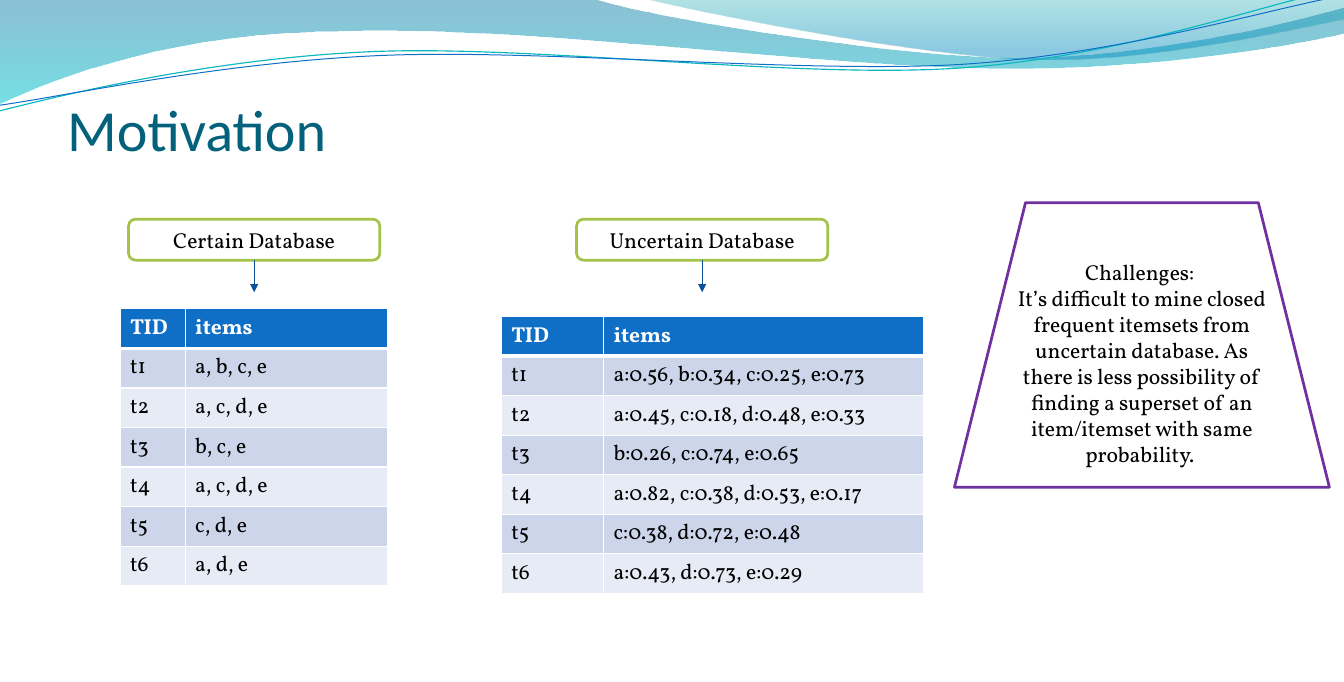
from math import cos, radians, sin

from lxml import etree
from pptx import Presentation
from pptx.dml.color import RGBColor
from pptx.enum.shapes import MSO_CONNECTOR as Link, MSO_SHAPE as Preset
from pptx.enum.text import MSO_ANCHOR as Anchor, PP_ALIGN as Align
from pptx.oxml import parse_xml
from pptx.oxml.ns import nsdecls, qn
from pptx.util import Inches, Pt

COLORS = {
    "title": "04617B", "text": "000000", "white": "FFFFFF",
    "header": "0F6FC6", "odd": "CCD5EA", "even": "E7EBF5",
    "label": "A5C249", "arrow": "095295", "challenge": "7030A0",
    "deep": "0074A1", "aqua": "00C6CF", "teal": "00A1A9", "sky": "008BBF",
    "upper line": "0AB8BF", "lower line": "0F6FC6",
}
COLUMNS, ROWS = 138, 70
TILT = 2.7


def turn(point, center, degrees):
    angle = radians(degrees)
    dx, dy = point[0] - center[0], point[1] - center[1]
    return (center[0] + dx * cos(angle) - dy * sin(angle),
            center[1] + dx * sin(angle) + dy * cos(angle))


class Board:
    body_font, title_font, body_size = "Vollkorn", "Calibri", 16

    def __init__(self, deck):
        self.slide = deck.slides.add_slide(deck.slide_layouts[6])
        self.shapes = self.slide.shapes
        self.column = deck.slide_width / COLUMNS
        self.row = deck.slide_height / ROWS

    def place(self, *lengths):
        units = (self.column, self.row) * 2
        return [round(length * unit) for length, unit in zip(lengths, units)]

    def color(self, name):
        return RGBColor.from_string(COLORS[name])

    def font(self, paragraph, color="text", size=body_size, name=body_font, bold=False):
        font = paragraph.font
        font.name, font.size, font.bold = name, Pt(size), bold
        font.color.rgb = self.color(color)

    def outline(self, shape, color, width):
        shape.line.color.rgb = self.color(color)
        shape.line.width = Pt(width)

    def curve(self, start, segments, closed):
        builder = self.shapes.build_freeform(*self.place(*start))
        points = [self.place(*point) for segment in segments for point in segment]
        builder.add_line_segments(points, close=closed)
        shape = builder.convert_to_shape()
        shape.shadow.inherit = False
        steps = iter(list(shape._element.iter(qn("a:lnTo"))))
        for segment in segments:
            parts = [next(steps) for _ in segment]
            if len(parts) == 3:
                bend = etree.Element(qn("a:cubicBezTo"))
                parts[0].addprevious(bend)
                for part in parts:
                    bend.append(part[0])
                    part.getparent().remove(part)
        return shape

    def wave(self, start, segments, stops):
        shape = self.curve(start, segments, True)
        shape.line.fill.background()
        shape.fill.gradient()
        shape.fill.gradient_angle = 270
        for stop, (position, color, opacity) in zip(shape.fill.gradient_stops, stops):
            stop.position = position
            stop.color.rgb = self.color(color)
        tints = shape.fill._xPr.iter(qn("a:srgbClr"))
        for tint, (_, _, opacity) in zip(tints, stops):
            etree.SubElement(tint, qn("a:alpha"), val=str(opacity * 1000))

    def strand(self, center, start, segments, color, width):
        level = [[turn(point, center, TILT) for point in segment] for segment in segments]
        shape = self.curve(turn(start, center, TILT), level, False)
        shape.rotation = 360 - TILT
        shape.fill.background()
        self.outline(shape, color, width)

    def title(self, words, *box):
        frame = self.shapes.add_textbox(*self.place(*box)).text_frame
        frame.word_wrap = True
        frame.vertical_anchor = Anchor.BOTTOM
        frame.margin_left = frame.margin_right = frame.margin_bottom = 0
        frame.margin_top = Inches(0.04)
        frame.text = words
        self.font(frame.paragraphs[0], "title", 43, self.title_font)

    def panel(self, preset, words, color, *box):
        shape = self.shapes.add_shape(preset, *self.place(*box))
        shape.shadow.inherit = False
        shape.fill.solid()
        shape.fill.fore_color.rgb = self.color("white")
        self.outline(shape, color, 2)
        frame = shape.text_frame
        frame.word_wrap = True
        frame.vertical_anchor = Anchor.MIDDLE
        frame.text = words
        for paragraph in frame.paragraphs:
            paragraph.alignment = Align.CENTER
            self.font(paragraph)

    def arrow(self, x, top, bottom):
        ends = self.place(x, top, x, bottom)
        connector = self.shapes.add_connector(Link.STRAIGHT, *ends)
        self.outline(connector, "arrow", 0.75)
        etree.SubElement(connector.line._get_or_add_ln(), qn("a:tailEnd"), type="triangle")
        etree.SubElement(connector._element.spPr, qn("a:effectLst"))

    def borders(self, cell, row):
        widths = {"L": 1, "R": 1, "T": 3 if row == 1 else 1, "B": 3 if row == 0 else 1}
        properties = cell._tc.get_or_add_tcPr()
        for side, width in widths.items():
            properties.append(parse_xml(
                f'<a:ln{side} {nsdecls("a")} w="{Pt(width)}"><a:solidFill>'
                f'<a:srgbClr val="{COLORS["white"]}"/></a:solidFill></a:ln{side}>'))

    def table(self, transactions, left, top, widths, row_height=4.06):
        records = [("TID", "items")]
        records += [(f"t{n}", items) for n, items in enumerate(transactions, 1)]
        box = self.place(left, top, sum(widths), row_height * len(records))
        grid = self.shapes.add_table(len(records), len(widths), *box).table
        for column, width in zip(grid.columns, widths):
            column.width = round(width * self.column)
        for r, record in enumerate(records):
            grid.rows[r].height = round(row_height * self.row)
            fill = "header" if r == 0 else "odd" if r % 2 else "even"
            for c, words in enumerate(record):
                cell = grid.cell(r, c)
                self.borders(cell, r)
                cell.fill.solid()
                cell.fill.fore_color.rgb = self.color(fill)
                cell.text = words
                self.font(cell.text_frame.paragraphs[0],
                          "text" if r else "white", bold=r == 0)


def main():
    deck = Presentation()
    deck.slide_width, deck.slide_height = Inches(13.8), Inches(7)
    board = Board(deck)

    board.wave((0, 0), [[(60.8, -0.1)],
                        [(65.6, 1.6), (91.6, 5.9), (104.7, 5.9)],
                        [(117.7, 5.9), (132.3, 2.4), (138, 0.8)],
                        [(138.1, 3.4)],
                        [(135.7, 4.1), (120, 7.1), (102.9, 7)],
                        [(85.8, 7), (52.7, 2.6), (35.5, 3.2)],
                        [(17.8, 3.3), (6.3, 7.7), (-0.1, 10.6)]],
               [(0, "deep", 45), (1, "aqua", 55)])
    board.wave((66.1, -0.1), [[(70.3, 1), (94.1, 5.8), (106.1, 6.1)],
                              [(118.1, 6.4), (132.7, 3), (138, 2)],
                              [(138, 0)]],
               [(0, "teal", 30), (0.8, "sky", 45)])
    board.strand((68.85, 5.4), (-0.1, 11.4),
                 [[(6.6, 9.7), (21.8, 6), (38.2, 5.3)],
                  [(54.6, 4.6), (81.7, 8.1), (98.3, 7)],
                  [(114.9, 5.9), (129.5, 0.5), (137.8, -1.2)]],
                 "upper line", 0.85)
    board.strand((69.05, 5.5), (0, 10.8),
                 [[(6.5, 9.9), (22.6, 6.4), (39.1, 5.7)],
                  [(55.6, 5), (82.4, 7.6), (98.9, 6.6)],
                  [(115.4, 5.5), (129.9, 1), (138.1, -0.5)]],
                 "lower line", 0.75)

    board.title("Motivation", 6.9, 7.2, 124.2, 9.5)

    certain = ["a, b, c, e", "a, c, d, e", "b, c, e", "a, c, d, e", "c, d, e", "a, d, e"]
    uncertain = [
        "a:0.56, b:0.34, c:0.25, e:0.73", "a:0.45, c:0.18, d:0.48, e:0.33",
        "b:0.26, c:0.74, e:0.65", "a:0.82, c:0.38, d:0.53, e:0.17",
        "c:0.38, d:0.72, e:0.48", "a:0.43, d:0.73, e:0.29",
    ]
    board.table(certain, 12.35, 31.7, (6.7, 20.8))
    board.table(uncertain, 51.5, 32.5, (10.5, 32.8))

    label_width, label_top, label_height = 25.8, 22.5, 4.2
    for kind, left in (("Certain", 13.2), ("Uncertain", 59.2)):
        board.panel(Preset.ROUNDED_RECTANGLE, f"{kind} Database", "label",
                    left, label_top, label_width, label_height)
        board.arrow(left + label_width / 2, label_top + label_height, 30)

    board.panel(Preset.TRAPEZOID,
                "Challenges: \nIt’s difficult to mine closed frequent itemsets from "
                "uncertain database. As there is less possibility of finding a superset "
                "of an item/itemset with same probability. ",
                "challenge", 98, 20.8, 38.5, 29.2)

    deck.save("out.pptx")


if __name__ == "__main__":
    main()
